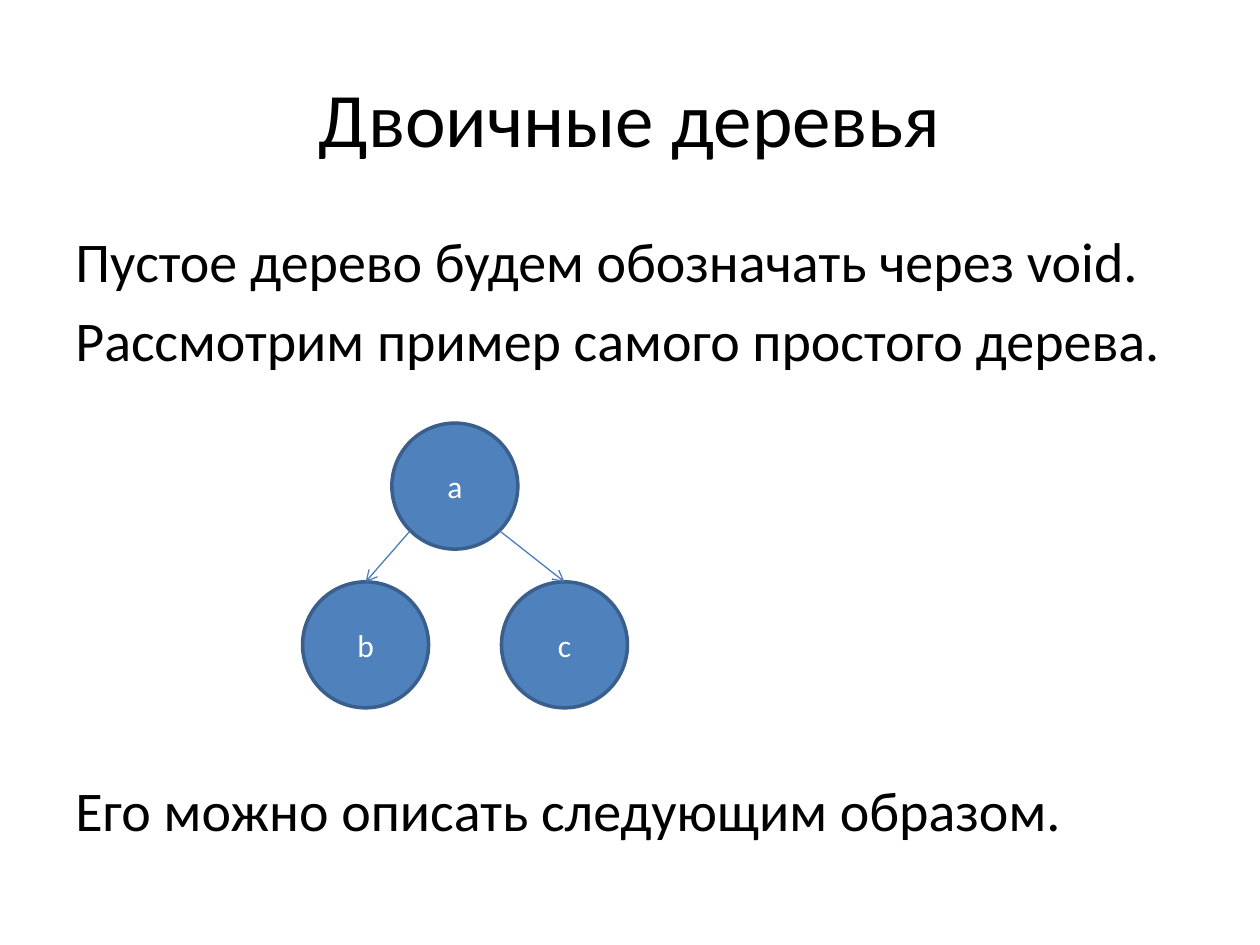
import math

from pptx import Presentation
from pptx import util as u
from pptx.dml.color import RGBColor
from pptx.enum import shapes, text
from pptx.oxml.ns import qn
from lxml import etree

COLORS = {"ink": "000000", "node": "4F81BD", "rim": "3A5F8C",
          "edge": "4B7EBC", "label": "FFFFFF"}
DIAMETER = 2.54


class TreeSlide:
    """Slide with the style of a binary tree drawing."""

    def __init__(self, prs, font="Calibri"):
        self.font = font
        self.slide = prs.slides.add_slide(prs.slide_layouts[5])

    def color(self, name):
        return RGBColor.from_string(COLORS[name])

    def format(self, paragraph, size, color, align):
        paragraph.alignment = align
        paragraph.font.name = self.font
        paragraph.font.size = u.Pt(size)
        paragraph.font.color.rgb = self.color(color)

    def place(self, shape, left, top, width, height):
        shape.left, shape.top = u.Cm(left), u.Cm(top)
        shape.width, shape.height = u.Cm(width), u.Cm(height)

    def title(self, wording, *box):
        heading = self.slide.shapes.title
        self.place(heading, *box)
        heading.text_frame.text = wording
        heading.text_frame.vertical_anchor = text.MSO_ANCHOR.MIDDLE
        self.format(heading.text_frame.paragraphs[0], 44, "ink", text.PP_ALIGN.CENTER)

    def body(self, lines, *box):
        frame = self.slide.shapes.add_textbox(*map(u.Cm, box)).text_frame
        frame.word_wrap = True
        frame.text = "\n".join(wording for wording, gap in lines)
        for paragraph, (wording, gap) in zip(frame.paragraphs, lines):
            self.format(paragraph, 32, "ink", text.PP_ALIGN.LEFT)
            paragraph.space_before = u.Pt(gap)

    def node(self, label, left, top):
        circle = self.slide.shapes.add_shape(
            shapes.MSO_SHAPE.OVAL, *map(u.Cm, (left, top, DIAMETER, DIAMETER)))
        circle.shadow.inherit = False
        circle.fill.solid()
        circle.fill.fore_color.rgb = self.color("node")
        circle.line.color.rgb = self.color("rim")
        circle.line.width = u.Pt(2)
        circle.text_frame.text = label
        circle.text_frame.vertical_anchor = text.MSO_ANCHOR.MIDDLE
        self.format(circle.text_frame.paragraphs[0], 18, "label", text.PP_ALIGN.CENTER)
        return circle

    def edge(self, parent, child):
        reach = int(parent.width / 2 * math.sqrt(0.5))
        side = 1 if child.left > parent.left else -1
        start_x = parent.left + parent.width // 2 + side * reach
        start_y = parent.top + parent.height // 2 + reach
        arrow = self.slide.shapes.add_connector(
            shapes.MSO_CONNECTOR.STRAIGHT, start_x, start_y,
            child.left + child.width // 2, child.top)
        arrow.end_connect(child, 0)
        arrow.line.color.rgb = self.color("edge")
        arrow.line.width = u.Pt(0.75)
        etree.SubElement(arrow.line._get_or_add_ln(), qn("a:tailEnd"), type="arrow")
        etree.SubElement(arrow._element.spPr, qn("a:effectLst"))


def main():
    prs = Presentation()
    prs.slide_width, prs.slide_height = u.Cm(25.4), u.Cm(19.05)
    page = TreeSlide(prs)
    page.title("Двоичные деревья", 1.27, 0.76, 22.86, 3.18)
    page.body([("Пустое дерево будем обозначать через void.", 0),
               ("Рассмотрим пример самого простого дерева.", 6.4),
               ("Его можно описать следующим образом.", 230)],
              1.27, 4.45, 22.86, 12.57)
    root = page.node("a", 7.9, 8.53)
    children = [page.node(label, left, 11.73) for label, left in (("c", 10.11), ("b", 6.1))]
    for child in reversed(children):
        page.edge(root, child)
    prs.save("out.pptx")


if __name__ == "__main__":
    main()
